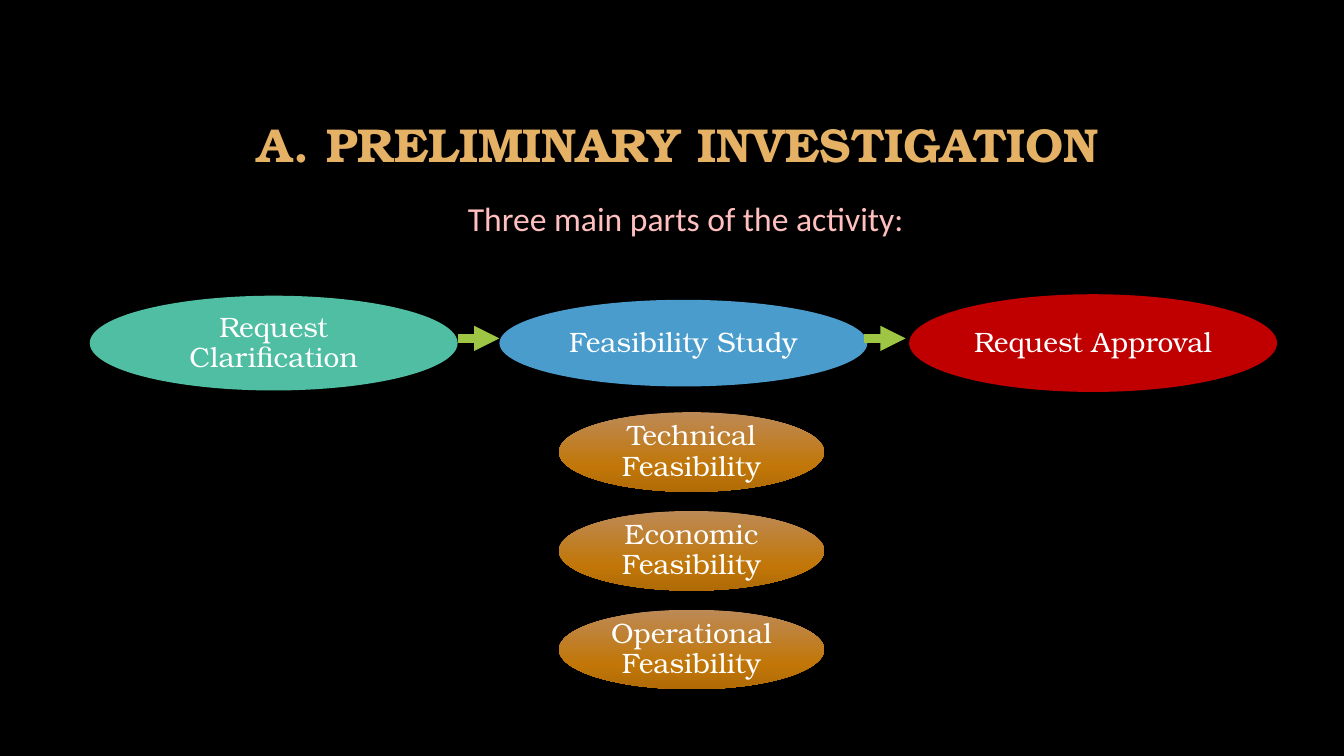
from copy import deepcopy

from lxml.etree import SubElement
from pptx import Presentation
from pptx.dml.color import RGBColor
from pptx.enum.shapes import MSO_CONNECTOR, MSO_SHAPE
from pptx.enum.text import MSO_ANCHOR, MSO_AUTO_SIZE, PP_ALIGN
from pptx.oxml.ns import qn
from pptx.util import Pt

HUES = {
    "back": "000000", "title": "E5B165", "lead": "FFBFBF", "text": "FFFFFF",
    "green": "50BEA3", "blue": "4A9CCC", "red": "C00000", "arrow": "9EC544",
    "top": "BD8A56", "mid": "C17607", "low": "B06B07",
}
SERIF = "TeX Gyre Bonum"
STEPS = [
    ("Request Clarification", "green", 67.7, 6.5),
    ("Feasibility Study", "blue", 61.9, 7.9),
    ("Request Approval", "red", 69.8, 6.5),
]
KINDS = ["Technical Feasibility", "Economic Feasibility", "Operational Feasibility"]


def hue(name):
    """Return the named colour."""
    return RGBColor.from_string(HUES[name])


def style(par, font, size, color, align, bold=False):
    """Format a paragraph."""
    par.alignment = align
    par.font.name, par.font.size, par.font.bold = font, Pt(size), bold
    par.font.color.rgb = hue(color)


def shade(oval):
    """Fill an oval with the three-stop gradient, top to bottom."""
    oval.fill.gradient()
    oval.fill.gradient_angle = 270
    stops = oval._element.spPr.find(qn("a:gradFill")).find(qn("a:gsLst"))
    stops.append(deepcopy(stops[-1]))
    for stop, name, place in zip(oval.fill.gradient_stops, ("top", "mid", "low"), (0, 0.69, 1)):
        stop.color.rgb = hue(name)
        stop.position = place


def add_oval(slide, text, left, top, width, height, inset):
    """Add a labelled oval without outline and return it."""
    oval = slide.shapes.add_shape(MSO_SHAPE.OVAL, Pt(left), Pt(top), Pt(width), Pt(height))
    oval.shadow.inherit = False
    oval.line.fill.background()
    frame = oval.text_frame
    frame.word_wrap = True
    frame.vertical_anchor = MSO_ANCHOR.MIDDLE
    frame.margin_left = frame.margin_right = Pt(inset)
    frame.margin_top = frame.margin_bottom = Pt(inset)
    frame.text = text
    par = frame.paragraphs[0]
    style(par, SERIF, 20, "text", PP_ALIGN.CENTER)
    par.line_spacing = 0.9
    return oval


def add_arrow(slide, left, y, width):
    """Add a thick arrow pointing right."""
    arrow = slide.shapes.add_connector(
        MSO_CONNECTOR.STRAIGHT, Pt(left), Pt(y), Pt(left + width), Pt(y))
    arrow.line.color.rgb = hue("arrow")
    arrow.line.width = Pt(6)
    SubElement(arrow.line._get_or_add_ln(), qn("a:tailEnd"), type="triangle")
    SubElement(arrow._element.spPr, qn("a:effectLst"))


def add_head(slide, left, top, width):
    """Place the title and the lead line below it."""
    title = slide.shapes.title
    title.left, title.top, title.width, title.height = Pt(left), Pt(top), Pt(width), Pt(48.2)
    frame = title.text_frame
    frame.text = "A. PRELIMINARY INVESTIGATION"
    frame.word_wrap = False
    frame.auto_size = MSO_AUTO_SIZE.NONE
    frame.vertical_anchor = MSO_ANCHOR.TOP
    style(frame.paragraphs[0], SERIF, 34, "title", PP_ALIGN.LEFT, True)
    lead = slide.shapes.add_textbox(Pt(left + 77), Pt(top + 59), Pt(471.6), Pt(36))
    lead.text_frame.word_wrap = True
    lead.text_frame.text = "Three main parts of the activity:"
    style(lead.text_frame.paragraphs[0], "Calibri", 24, "lead", PP_ALIGN.CENTER)


def add_flow(slide, left, top, width, height):
    """Lay out the three steps in a row, joined by arrows."""
    wide = 262.8
    pitch = (width - wide) / (len(STEPS) - 1)
    for i, (text, color, tall, inset) in enumerate(STEPS):
        y = top + (height - tall) / 2
        oval = add_oval(slide, text, left + i * pitch, y, wide, tall, inset)
        oval.fill.solid()
        oval.fill.fore_color.rgb = hue(color)
    for i in range(len(STEPS) - 1):
        add_arrow(slide, left + wide + i * 290.2, top + 31.5, 29.8)


def add_kinds(slide, left, top, width, height):
    """Stack the kinds of feasibility at equal gaps."""
    tall = 56.9
    pitch = (height - tall) / (len(KINDS) - 1)
    for i, text in enumerate(KINDS):
        shade(add_oval(slide, text, left, top + i * pitch, width, tall, 6.5))


def main():
    """Build and save the slide."""
    deck = Presentation()
    deck.slide_width, deck.slide_height = Pt(960), Pt(540)
    slide = deck.slides.add_slide(deck.slide_layouts[5])
    slide.background.fill.solid()
    slide.background.fill.fore_color.rgb = hue("back")
    add_head(slide, 177, 78.5, 622)
    add_flow(slide, 64.1, 210.2, 848.1, 69.8)
    add_kinds(slide, 399.3, 294.4, 189.4, 198)
    deck.save("out.pptx")


if __name__ == "__main__":
    main()
